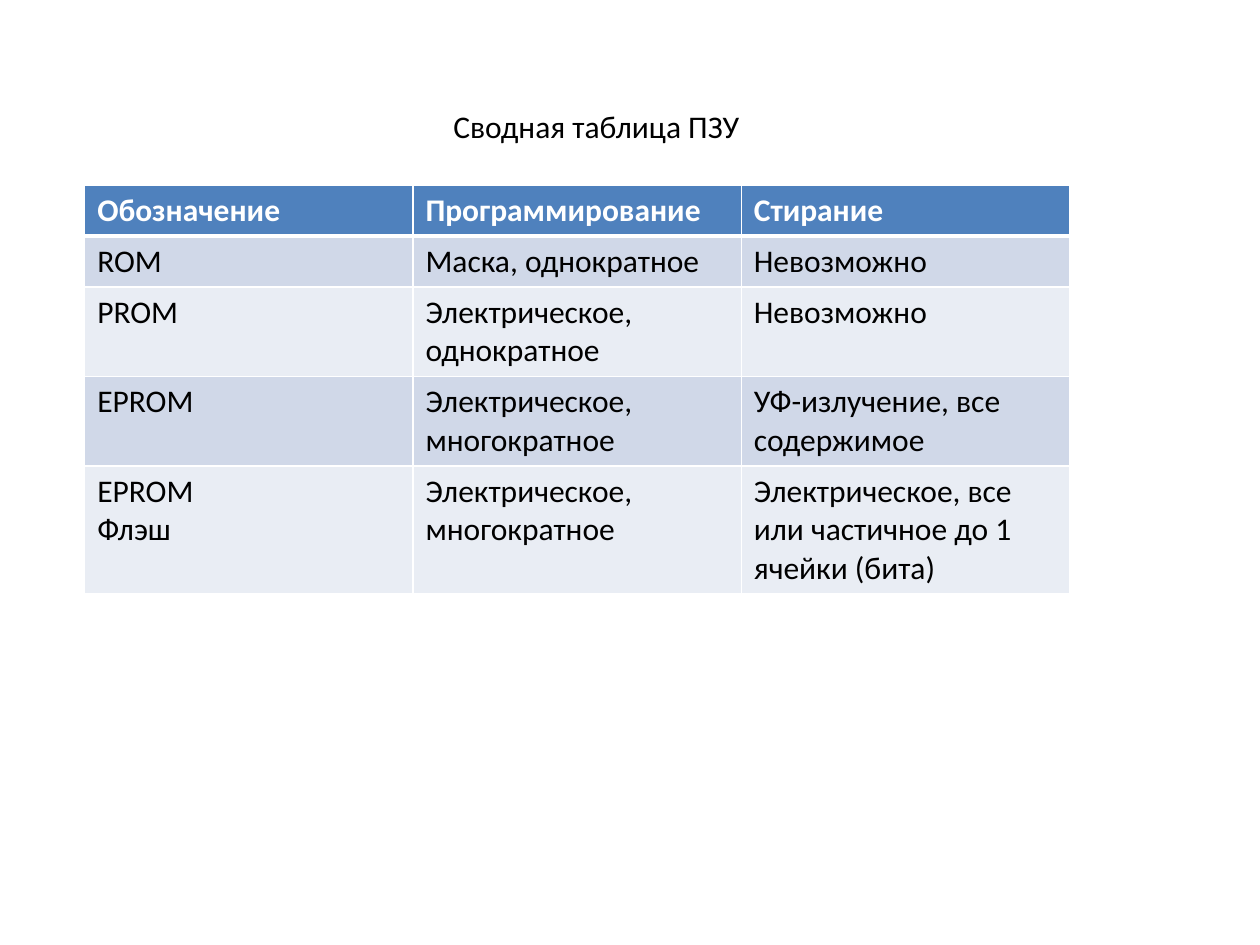
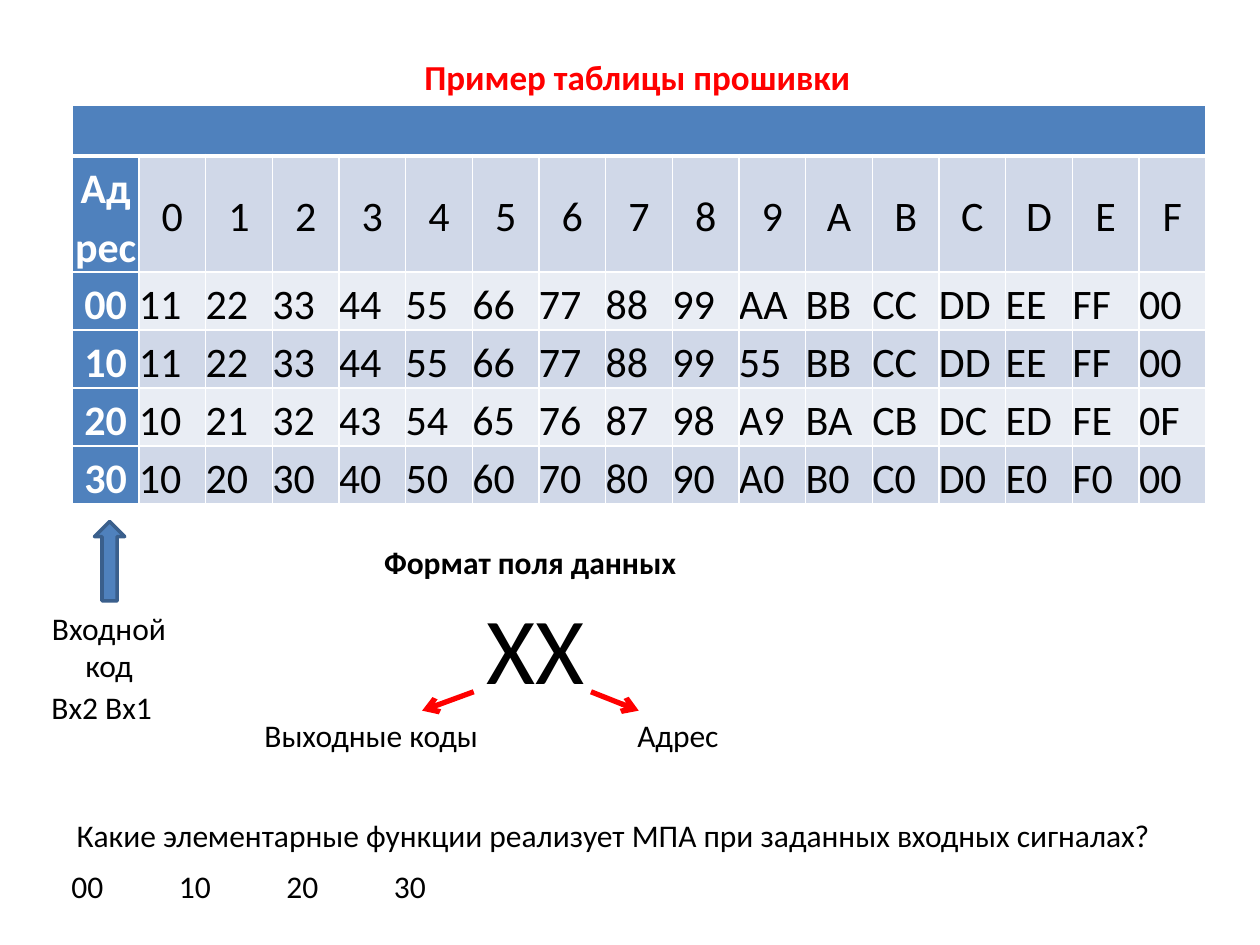
import pptx
import pptx.dml.color
import pptx.enum.shapes
import pptx.enum.text
import pptx.oxml
import pptx.oxml.ns
import pptx.util
import lxml.etree

Pt = pptx.util.Pt
RGBColor = pptx.dml.color.RGBColor
ALIGN = pptx.enum.text.PP_ALIGN
ANCHOR = pptx.enum.text.MSO_ANCHOR
qn = pptx.oxml.ns.qn

FONT = "Calibri"
BLACK = RGBColor(0x00, 0x00, 0x00)
WHITE = RGBColor(0xFF, 0xFF, 0xFF)
RED = RGBColor(0xFF, 0x00, 0x00)
BLUE = RGBColor(0x4F, 0x81, 0xBD)
DARK_BLUE = RGBColor(0x3A, 0x5F, 0x8C)
BANDS = [RGBColor(0xE9, 0xED, 0xF4), RGBColor(0xD0, 0xD8, 0xE8)]


def write(frame, text, size=18, color=BLACK, bold=False, align=ALIGN.LEFT, spacing=None):
    """Fill a text frame, one paragraph for each line of text."""
    for index, line in enumerate(text.split("\n")):
        para = frame.paragraphs[0] if index == 0 else frame.add_paragraph()
        para.alignment = align
        if spacing:
            para.line_spacing = spacing
        span = para.add_run()
        span.text = line
        span.font.name = FONT
        span.font.size = Pt(size)
        span.font.bold = bold
        span.font.color.rgb = color


def add_grid(page, left, top, widths, heights):
    """Add a banded table with white borders and a heavier line under its header."""
    table = page.shapes.add_table(len(heights), len(widths), Pt(left), Pt(top),
                                  Pt(sum(widths)), Pt(sum(heights))).table
    for column, width in zip(table.columns, widths):
        column.width = Pt(width)
    for number, (row, height) in enumerate(zip(table.rows, heights)):
        row.height = Pt(height)
        for cell in row.cells:
            properties = cell._tc.get_or_add_tcPr()
            for side in "LRTB":
                heavy = (number, side) in [(0, "B"), (1, "T")]
                border = lxml.etree.SubElement(properties, qn(f"a:ln{side}"),
                                               w=str(Pt(3 if heavy else 1)))
                paint = lxml.etree.SubElement(border, qn("a:solidFill"))
                lxml.etree.SubElement(paint, qn("a:srgbClr"), val=str(WHITE))
            cell.fill.solid()
            cell.fill.fore_color.rgb = BANDS[number % 2] if number else BLUE
    return table


deck = pptx.Presentation()
deck.slide_width, deck.slide_height = Pt(720), Pt(540)
blank = deck.slide_layouts[6]
summary_page = deck.slides.add_slide(blank)
firmware_page = deck.slides.add_slide(blank)

# Summary table of ROM types
rom_rows = [
    ["Обозначение", "Программирование", "Стирание"],
    ["ROM", "Маска, однократное", "Невозможно"],
    ["PROM", "Электрическое, однократное", "Невозможно"],
    ["ЕPROM", "Электрическое, многократное", "УФ-излучение, все содержимое"],
    ["ЕPROM\nФлэш", "Электрическое, многократное",
     "Электрическое, все или частичное до 1 ячейки (бита)"],
]
rom_table = add_grid(summary_page, 48.4, 105.6, [187.6] * 3, [29.2, 29.2, 51, 51, 72.8])
for row_index, row_texts in enumerate(rom_rows):
    for column_index, text in enumerate(row_texts):
        header = row_index == 0
        write(rom_table.cell(row_index, column_index).text_frame, text,
              color=WHITE if header else BLACK, bold=header)

# Firmware table: addresses down the side, low digit across the top
firmware_rows = [
    "Адрес 0 1 2 3 4 5 6 7 8 9 A B C D E F",
    "00 11 22 33 44 55 66 77 88 99 AA BB CC DD EE FF 00",
    "10 11 22 33 44 55 66 77 88 99 55 BB CC DD EE FF 00",
    "20 10 21 32 43 54 65 76 87 98 A9 BA CB DC ED FE 0F",
    "30 10 20 30 40 50 60 70 80 90 A0 B0 C0 D0 E0 F0 00",
]
firmware_table = add_grid(firmware_page, 41.3, 59.9, [38.1] * 17,
                          [29.2, 65.4] + [33.1] * 4)
firmware_table.first_col = True
firmware_table.cell(0, 0).merge(firmware_table.cell(0, 16))
for row_index, row_text in enumerate(firmware_rows, start=1):
    for column_index, text in enumerate(row_text.split()):
        cell = firmware_table.cell(row_index, column_index)
        cell.margin_left = cell.margin_right = cell.margin_top = cell.margin_bottom = 0
        address = column_index == 0
        centred = address or row_index == 1
        if centred:
            cell.vertical_anchor = ANCHOR.MIDDLE
        if address:
            cell.fill.fore_color.rgb = BLUE
        write(cell.text_frame, text, size=24, color=WHITE if address else BLACK, bold=address,
              align=ALIGN.CENTER if centred else ALIGN.LEFT, spacing=1.15)

# Titles and labels: page, left, top, width, height, text, format
labels = [
    (summary_page, 252, 57.6, 180, 29, "Сводная таблица ПЗУ", {}),
    (firmware_page, 235.4, 28.3, 260, 31.5, "Пример таблицы прошивки",
     {"size": 20, "color": RED, "bold": True}),
    (firmware_page, 22.3, 344.2, 80, 51, "Входной\nкод", {"align": ALIGN.CENTER}),
    (firmware_page, 22.3, 389.5, 73, 29, "Вх2 Вх1", {}),
    (firmware_page, 212.4, 306.7, 183, 29, "Формат поля данных", {"bold": True}),
    (firmware_page, 270.7, 333.4, 86.4, 72.7, "XX", {"size": 54}),
    (firmware_page, 357.1, 405.4, 61, 29, "Адрес", {}),
    (firmware_page, 144, 405.4, 137.5, 29, "Выходные коды", {}),
    (firmware_page, 36.7, 463, 634.3, 29,
     "Какие элементарные функции реализует МПА при заданных входных сигналах?", {}),
]
for index, code in enumerate(["00", "10", "20", "30"]):
    labels.append((firmware_page, 33.8 + 61.4 * index, 491.8, 33, 29, code, {}))
for page, left, top, width, height, text, style in labels:
    box = page.shapes.add_textbox(Pt(left), Pt(top), Pt(width), Pt(height))
    box.text_frame.word_wrap = text == "XX"
    box.text_frame.auto_size = pptx.enum.text.MSO_AUTO_SIZE.SHAPE_TO_FIT_TEXT
    write(box.text_frame, text, **style)

# Block arrow from the input code to the address column
input_arrow = firmware_page.shapes.add_shape(
    pptx.enum.shapes.MSO_SHAPE.UP_ARROW, Pt(54), Pt(298), Pt(17.3), Pt(45.4))
input_arrow.shadow.inherit = False
input_arrow.fill.solid()
input_arrow.fill.fore_color.rgb = BLUE
input_arrow.line.color.rgb = DARK_BLUE
input_arrow.line.width = Pt(2)

# Red arrows from the two digits to their meanings
for start, end in [(337.7, 365), (270.7, 241.2)]:
    arrow = firmware_page.shapes.add_connector(
        pptx.enum.shapes.MSO_CONNECTOR.STRAIGHT, Pt(start), Pt(395.3), Pt(end), Pt(406.1))
    arrow.line.color.rgb = RED
    arrow.line.width = Pt(3)
    lxml.etree.SubElement(arrow.line._get_or_add_ln(), qn("a:tailEnd"), type="arrow")
    lxml.etree.SubElement(arrow._element.spPr, qn("a:effectLst"))

deck.save("out.pptx")
